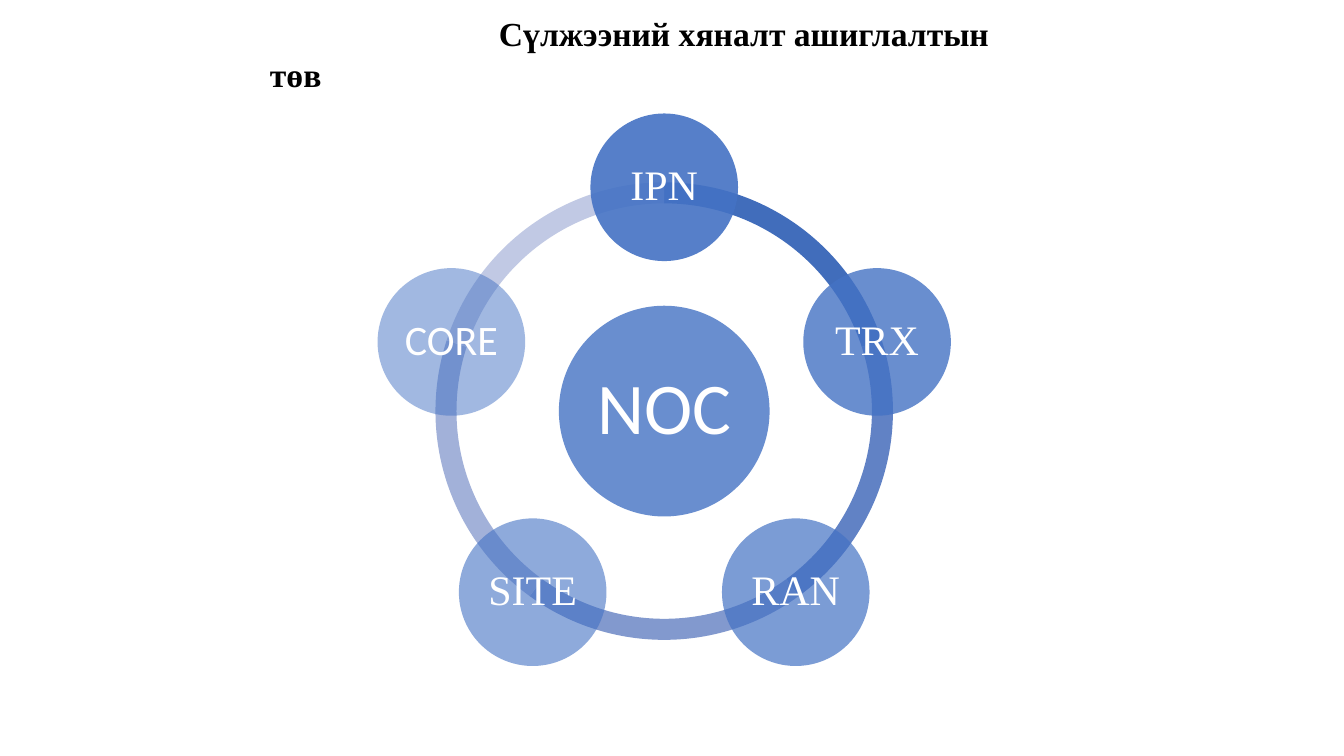
from math import cos, radians, sin

from lxml import etree
from pptx import Presentation
from pptx.dml.color import RGBColor
from pptx.enum.shapes import MSO_SHAPE
from pptx.enum.text import MSO_ANCHOR, MSO_AUTO_SIZE, PP_ALIGN
from pptx.oxml.ns import qn
from pptx.util import Cm, Pt

ARC, CIRCLE = MSO_SHAPE.BLOCK_ARC, MSO_SHAPE.OVAL
MIDDLE, NO_FIT = MSO_ANCHOR.MIDDLE, MSO_AUTO_SIZE.NONE
LEFT, CENTER = PP_ALIGN.LEFT, PP_ALIGN.CENTER

THEME = {
    "black": RGBColor.from_string("000000"),
    "white": RGBColor.from_string("FFFFFF"),
    "blue": RGBColor.from_string("4472C4"),
    "title_size": Pt(24),
    "hub_size": Pt(52),
    "node_size": Pt(30),
    "serif": "Times New Roman",
    "sans": "Calibri",
}

CENTER_X, CENTER_Y = 16.74, 10.36
RING_SIZE, HUB_SIZE, NODE_SIZE = 11.53, 5.31, 3.72
ORBIT = 5.64
RING_THICKNESS = 0.046
STEP = 72
TOP_ANGLE = 270

NODES = [
    ("IPN", THEME["serif"], 90, "416DBB"),
    ("TRX", THEME["serif"], 80, "6182C5"),
    ("RAN", THEME["serif"], 70, "8299CE"),
    ("SITE", THEME["serif"], 60, "A2B1D9"),
    ("CORE", THEME["sans"], 50, "C1C9E4"),
]


def add_round(kind, x, y, size, color):
    shape = page.shapes.add_shape(
        kind, Cm(x - size / 2), Cm(y - size / 2), Cm(size), Cm(size)
    )
    shape.shadow.inherit = False
    shape.fill.solid()
    shape.fill.fore_color.rgb = color
    shape.line.fill.background()
    return shape


def set_text(box, text, frame_format, para_format, font_format, color):
    frame = box.text_frame
    frame.text = text
    para = frame.paragraphs[0]
    for target, values in (
        (frame, frame_format),
        (para, para_format),
        (para.runs[0].font, font_format),
    ):
        for name, value in values.items():
            setattr(target, name, value)
    para.runs[0].font.color.rgb = color
    return para


deck = Presentation()
deck.slide_width, deck.slide_height = Cm(33.87), Cm(19.05)
page = deck.slides.add_slide(deck.slide_layouts[5])

title = page.shapes.title
title.left, title.top, title.width, title.height = Cm(6.55), Cm(0), Cm(19.23), Cm(2.7)
title_para = set_text(
    title,
    "Сүлжээний хяналт ашиглалтын төв",
    {"vertical_anchor": MIDDLE, "word_wrap": True, "auto_size": NO_FIT},
    {"alignment": LEFT},
    {"name": THEME["serif"], "size": THEME["title_size"], "bold": True},
    THEME["black"],
)
title_para._p.get_or_add_pPr().set("indent", str(Cm(5.77)))

for index, (label, font, opacity, arc_color) in enumerate(NODES):
    start = (TOP_ANGLE + index * STEP) % 360
    end = (start + STEP) % 360
    arc = add_round(ARC, CENTER_X, CENTER_Y, RING_SIZE, RGBColor.from_string(arc_color))
    arc.adjustments[0] = start * 0.6
    arc.adjustments[1] = end * 0.6
    arc.adjustments[2] = RING_THICKNESS

circles = [("NOC", THEME["sans"], 80, THEME["hub_size"], CENTER_X, CENTER_Y, HUB_SIZE, 0.18)]
for index, (label, font, opacity, arc_color) in enumerate(NODES):
    angle = radians(TOP_ANGLE + index * STEP)
    x, y = CENTER_X + ORBIT * cos(angle), CENTER_Y + ORBIT * sin(angle)
    circles.append((label, font, opacity, THEME["node_size"], x, y, NODE_SIZE, 0.1))

for label, font, opacity, text_size, x, y, size, inset in circles:
    circle = add_round(CIRCLE, x, y, size, THEME["blue"])
    fill_color = circle._element.spPr.find(qn("a:solidFill"))[0]
    etree.SubElement(fill_color, qn("a:alpha")).set("val", str(opacity * 1000))
    margins = {f"margin_{side}": Cm(inset) for side in ("left", "top", "right", "bottom")}
    set_text(
        circle,
        label,
        {"vertical_anchor": MIDDLE, "word_wrap": True, **margins},
        {"alignment": CENTER, "line_spacing": 0.9},
        {"name": font, "size": text_size},
        THEME["white"],
    )

deck.save("out.pptx")
